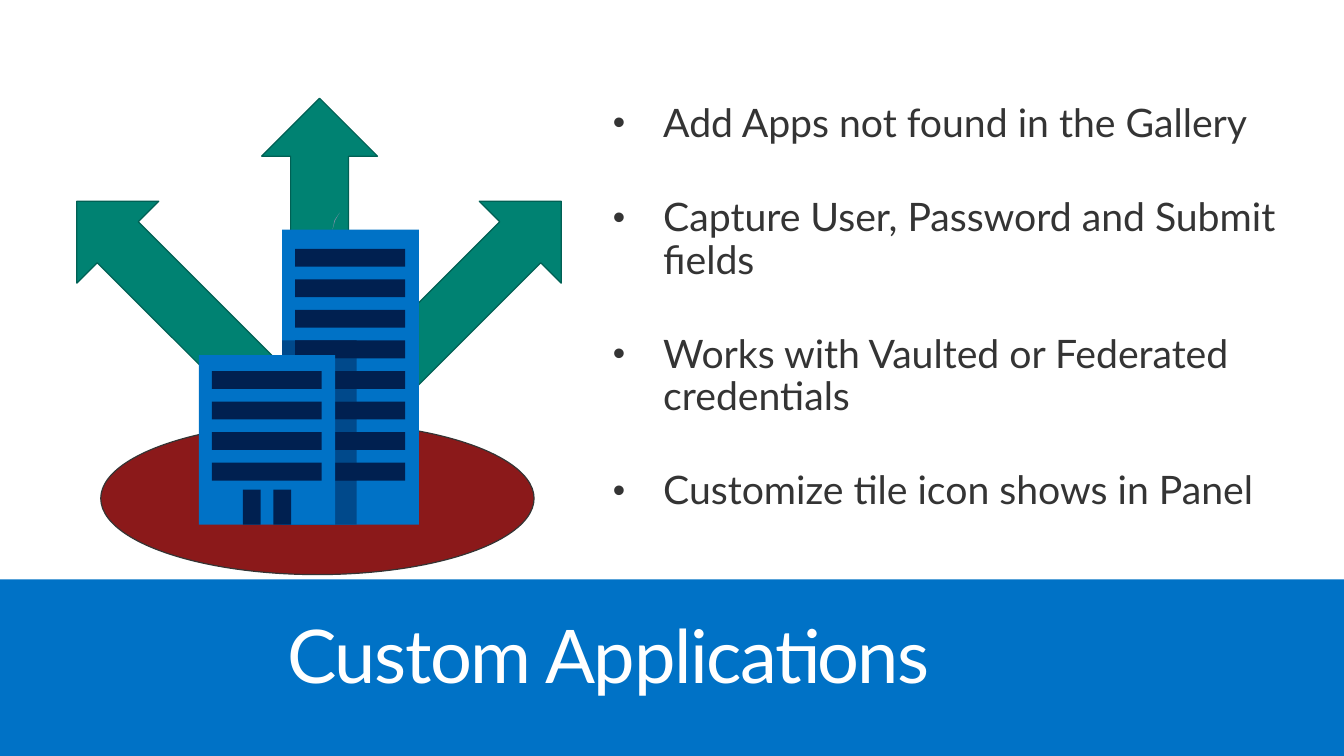
from lxml.etree import SubElement
from pptx import Presentation
from pptx.dml.color import RGBColor
from pptx.enum.shapes import MSO_SHAPE
from pptx.enum.text import MSO_ANCHOR, MSO_AUTO_SIZE, PP_ALIGN
from pptx.oxml.ns import qn
from pptx.util import Cm, Pt

BLUE, NAVY, SHADE = "0072C6", "002050", "00498B"
GREEN, GREEN_EDGE = "008272", "006054"
RED, INK, WHITE, GLINT = "8B191A", "343434", "FFFFFF", "7F8FA7"
POINTS = [
    "Add Apps not found in the Gallery",
    "Capture User, Password and Submit fields",
    "Works with Vaulted or Federated credentials",
    "Customize tile icon shows in Panel",
]
FLOOR_PITCH, WINDOW_HEIGHT, WINDOW_WIDTH = 0.77, 0.45, 2.77
TOWER_LEFT, TOWER_TOP, GROUND = 7.11, 5.79, 13.22
TOWER_WINDOW, SHADE_RIGHT = 7.44, 8.99
FLOORS = [6.27 + FLOOR_PITCH * floor for floor in range(8)]


def rgb(colour):
    return RGBColor.from_string(colour)


class SlideBuilder:
    """Hold the slide, its font and the methods that add each kind of element."""

    def __init__(self, slide, font):
        self.slide = slide
        self.font = font

    def paint(self, element, fill, edge=None):
        element.shadow.inherit = False
        element.fill.solid()
        element.fill.fore_color.rgb = rgb(fill)
        if edge:
            element.line.color.rgb = rgb(edge)
            element.line.width = Pt(0.85)
        else:
            element.line.fill.background()
        return element

    def preset(self, parent, kind, box, fill, edge=None, rotation=0):
        element = parent.shapes.add_shape(kind, *map(Cm, box))
        element.rotation = rotation
        return self.paint(element, fill, edge)

    def block(self, parent, box, fill):
        return self.preset(parent, MSO_SHAPE.RECTANGLE, box, fill)

    def outline(self, parent, corners, fill):
        start, *rest = [(Cm(x), Cm(y)) for x, y in corners]
        builder = parent.shapes.build_freeform(*start, scale=1.0)
        builder.add_line_segments(rest, close=True)
        return self.paint(builder.convert_to_shape(), fill)

    def windows(self, parent, left, tops, width=WINDOW_WIDTH):
        for top in tops:
            self.block(parent, (left, top, width, WINDOW_HEIGHT), NAVY)

    def place(self, holder, box, text):
        holder.left, holder.top, holder.width, holder.height = map(Cm, box)
        frame = holder.text_frame
        frame.text = text
        frame.word_wrap = True
        frame.auto_size = MSO_AUTO_SIZE.NONE
        frame.vertical_anchor = MSO_ANCHOR.TOP
        return frame.paragraphs

    def style(self, paragraph, size, colour):
        paragraph.alignment = PP_ALIGN.LEFT
        paragraph.line_spacing = 0.9
        for run in paragraph.runs:
            run.font.name = self.font
            run.font.size = Pt(size)
            run.font.color.rgb = rgb(colour)

    def heading(self, box, text):
        paragraph = self.place(self.slide.shapes.title, box, text)[0]
        self.style(paragraph, 52.9, WHITE)
        paragraph.runs[0].font._element.set("spc", "-100")

    def bullets(self, box, items):
        paragraphs = self.place(self.slide.placeholders[1], box, "\n".join(items))
        for index, paragraph in enumerate(paragraphs):
            properties = paragraph._p.get_or_add_pPr()
            properties.set("marL", str(Cm(1.27)))
            properties.set("indent", str(-Cm(1.27)))
            SubElement(properties, qn("a:buSzPct"), val="90000")
            SubElement(properties, qn("a:buFont"), typeface="Arial")
            SubElement(properties, qn("a:buChar"), char="•")
            self.style(paragraph, 28, INK)
            paragraph.space_before = Pt(37 if index else 0)

    def tower(self, parent):
        self.block(parent, (TOWER_LEFT, TOWER_TOP, 3.45, GROUND - TOWER_TOP), BLUE)
        self.windows(parent, TOWER_WINDOW, FLOORS)
        shaded = FLOORS[3:]
        corners = [(TOWER_LEFT, shaded[0]), (TOWER_LEFT, GROUND), (SHADE_RIGHT, GROUND)]
        for top in reversed(shaded):
            bottom = top + WINDOW_HEIGHT
            corners += [(SHADE_RIGHT, bottom), (TOWER_WINDOW, bottom),
                        (TOWER_WINDOW, top), (SHADE_RIGHT, top)]
        self.outline(parent, corners, SHADE)
        self.windows(parent, TOWER_WINDOW, shaded, SHADE_RIGHT - TOWER_WINDOW)

    def annex(self, parent):
        self.block(parent, (5.01, 8.95, 3.44, GROUND - 8.95), BLUE)
        for door_left in (6.12, 6.89):
            self.block(parent, (door_left, 12.34, 0.45, GROUND - 12.34), NAVY)
        self.windows(parent, 5.34, FLOORS[4:])


def main():
    presentation = Presentation()
    presentation.slide_width, presentation.slide_height = Cm(33.87), Cm(19.05)
    slide = presentation.slides.add_slide(presentation.slide_layouts[1])
    builder = SlideBuilder(slide, "Lato")

    band = builder.block(slide, (0, 14.6, 33.87, 4.45), BLUE)
    slide.shapes.title._element.addprevious(band._element)
    builder.heading((6.98, 15.49, 22.4, 2.54), "Custom Applications")
    builder.bullets((15.19, 2.49, 18.19, 13.41), POINTS)

    for left, top, rotation in ((7.29, 6.45, 315), (0.76, 6.45, 225), (4.04, 5.03, 270)):
        builder.preset(slide, MSO_SHAPE.RIGHT_ARROW, (left, top, 8.03, 2.92),
                       GREEN, GREEN_EDGE, rotation)
    builder.preset(slide, MSO_SHAPE.OVAL, (2.54, 10.64, 10.92, 3.84), RED, INK)

    offices = slide.shapes.add_group_shape()
    builder.outline(offices, [(8.56, 5.36), (8.45, 5.55), (8.38, 5.79), (8.43, 5.55)], GLINT)
    builder.tower(offices)
    builder.annex(offices)
    presentation.save("out.pptx")


if __name__ == "__main__":
    main()
